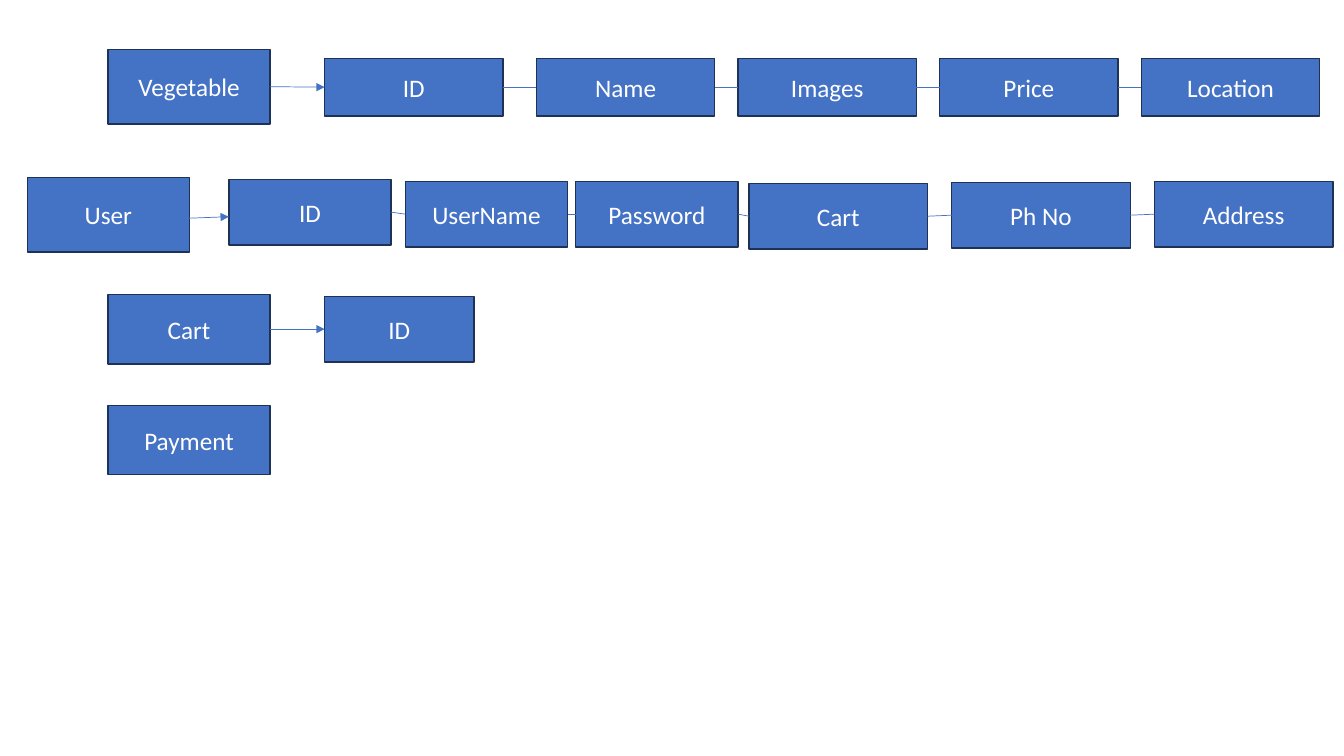
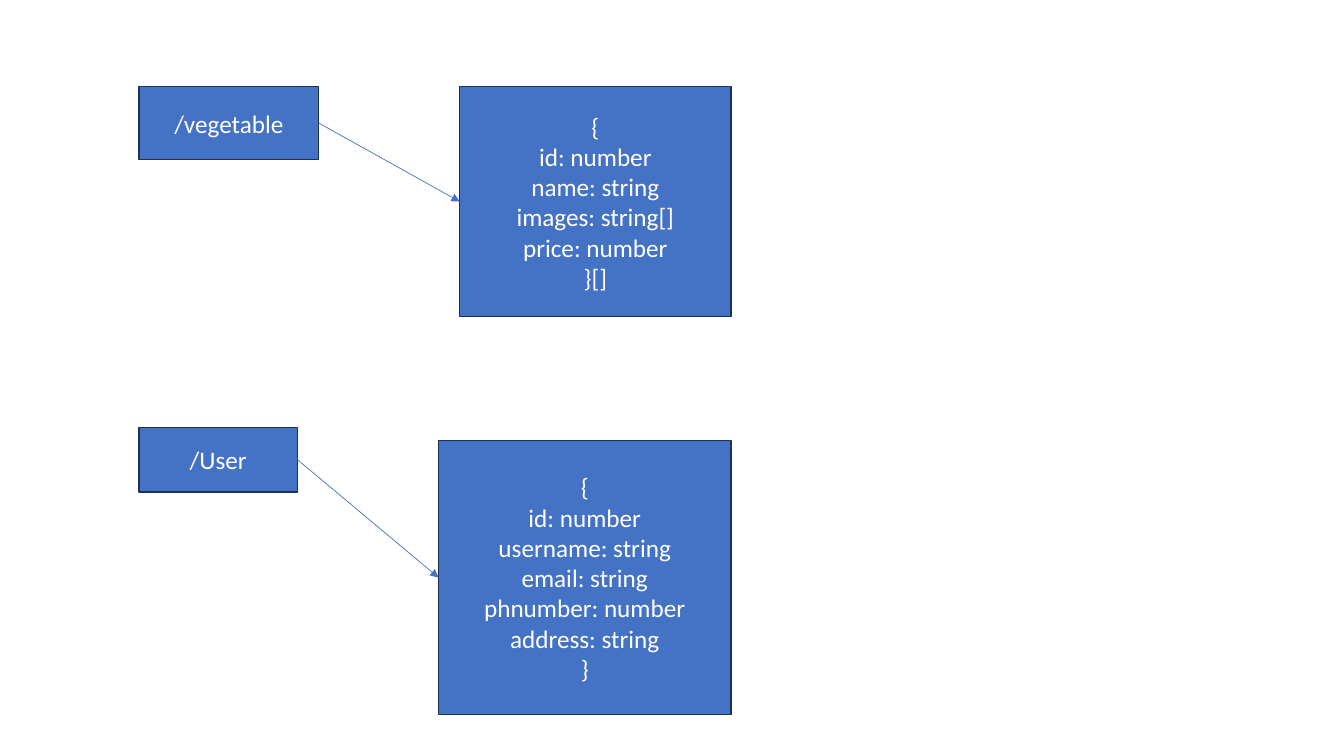
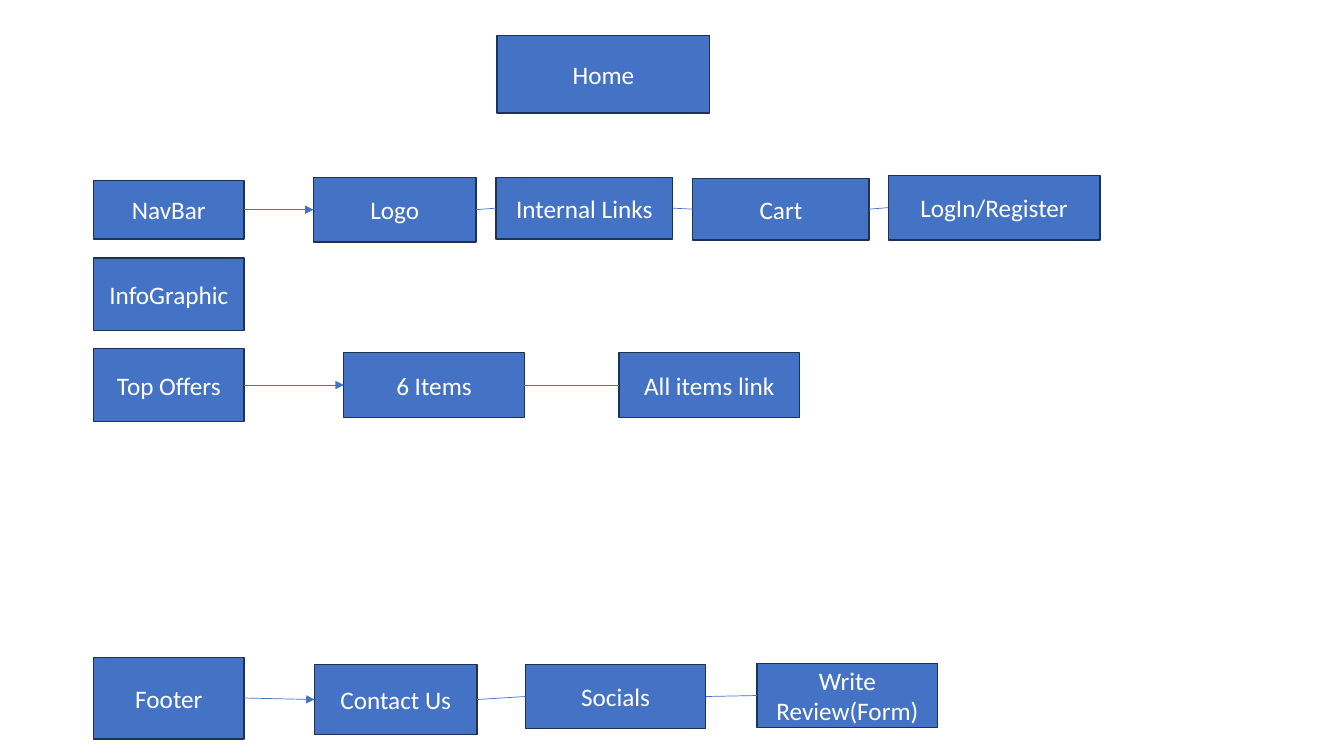
from dataclasses import dataclass

from lxml.etree import SubElement
from pptx import Presentation
from pptx.dml.color import RGBColor
from pptx.enum.shapes import MSO_CONNECTOR, MSO_SHAPE
from pptx.enum.text import MSO_ANCHOR, PP_ALIGN
from pptx.oxml.ns import qn
from pptx.shapes.autoshape import Shape
from pptx.shapes.connector import Connector
from pptx.slide import Slide
from pptx.util import Inches, Pt


@dataclass(frozen=True)
class Theme:
    fill: RGBColor = RGBColor(0x44, 0x72, 0xC4)
    outline: RGBColor = RGBColor(0x1E, 0x32, 0x56)
    text: RGBColor = RGBColor(0xFF, 0xFF, 0xFF)
    font: str = "Calibri"
    text_size: float = 18
    outline_width: float = 1
    link_width: float = 0.5


THEME = Theme()
BLANK_LAYOUT = 6
LEFT_SITE, RIGHT_SITE = 1, 3


@dataclass(frozen=True)
class Box:
    text: str
    left: float
    top: float
    width: float
    height: float


@dataclass(frozen=True)
class Chain:
    """Boxes joined left to right: an arrow first, plain links after it."""
    boxes: list[Box]
    arrow_ends: tuple[float, float, float, float] | None = None  # unglued arrow


def draw_box(slide: Slide, box: Box) -> Shape:
    shape = slide.shapes.add_shape(
        MSO_SHAPE.RECTANGLE,
        Inches(box.left), Inches(box.top), Inches(box.width), Inches(box.height))
    shape.shadow.inherit = False
    shape.fill.solid()
    shape.fill.fore_color.rgb = THEME.fill
    shape.line.color.rgb = THEME.outline
    shape.line.width = Pt(THEME.outline_width)

    frame = shape.text_frame
    frame.word_wrap = True
    frame.vertical_anchor = MSO_ANCHOR.MIDDLE
    for index, line in enumerate(box.text.split("\n")):
        paragraph = frame.add_paragraph() if index else frame.paragraphs[0]
        paragraph.alignment = PP_ALIGN.CENTER
        run = paragraph.add_run()
        run.text = line
        run.font.name = THEME.font
        run.font.size = Pt(THEME.text_size)
        run.font.color.rgb = THEME.text
    return shape


def style_link(link: Connector, arrow: bool) -> None:
    link.line.color.rgb = THEME.fill
    link.line.width = Pt(THEME.link_width)
    if arrow:
        SubElement(link.line._get_or_add_ln(), qn("a:tailEnd"), type="triangle")
    SubElement(link._element.spPr, qn("a:effectLst"))


def draw_chain(slide: Slide, chain: Chain) -> None:
    shapes = [draw_box(slide, box) for box in chain.boxes]
    for index, (source, target) in enumerate(zip(shapes, shapes[1:])):
        is_arrow = index == 0
        ends = chain.arrow_ends if is_arrow else None
        link = slide.shapes.add_connector(
            MSO_CONNECTOR.STRAIGHT, *(Inches(end) for end in ends or (0, 0, 0, 0)))
        if ends is None:
            link.begin_connect(source, RIGHT_SITE)
            link.end_connect(target, LEFT_SITE)
        style_link(link, is_arrow)


# Data model: each entity and its fields
VEGETABLE_FIELDS = [
    Box(field, 5.32 + 2 * column, 0.58, 1.77, 0.57)
    for column, field in enumerate(["Name", "Images", "Price", "Location"])]

DATA_MODEL = [
    Chain([Box("Vegetable", 1.07, 0.49, 1.61, 0.74),
           Box("ID", 3.22, 0.58, 1.77, 0.57), *VEGETABLE_FIELDS]),
    Chain([Box("User", 0.27, 1.76, 1.61, 0.74),
           Box("ID", 2.27, 1.78, 1.61, 0.65),
           Box("UserName", 4.02, 1.8, 1.61, 0.65),
           Box("Password", 5.71, 1.8, 1.61, 0.65),
           Box("Cart", 7.43, 1.82, 1.77, 0.65),
           Box("Ph No", 9.44, 1.81, 1.77, 0.65),
           Box("Address", 11.45, 1.8, 1.77, 0.65)],
          arrow_ends=(1.74, 2.17, 2.27, 2.15)),
    Chain([Box("Cart", 1.07, 2.92, 1.61, 0.69),
           Box("ID", 3.22, 2.94, 1.48, 0.65)]),
    Chain([Box("Payment", 1.07, 4.02, 1.61, 0.69)]),
]

# Endpoints: each route and its response
VEGETABLE_RESPONSE = """{
id: number
name: string
images: string[]
price: number
}[]"""

USER_RESPONSE = """{
id: number
username: string
email: string
phnumber: number
address: string
}"""

ENDPOINTS = [
    Chain([Box("/vegetable", 1.38, 0.86, 1.78, 0.72),
           Box(VEGETABLE_RESPONSE, 4.56, 0.86, 2.69, 2.28)]),
    Chain([Box("/User", 1.38, 4.24, 1.57, 0.64),
           Box(USER_RESPONSE, 4.35, 4.37, 2.9, 2.72)]),
]

# Home page: each section and its parts
HOME_PAGE = [
    Chain([Box("Home", 4.93, 0.35, 2.11, 0.77)]),
    Chain([Box("NavBar", 0.93, 1.79, 1.49, 0.58),
           Box("Logo", 3.11, 1.76, 1.61, 0.64),
           Box("Internal Links", 4.92, 1.76, 1.75, 0.61),
           Box("Cart", 6.87, 1.77, 1.75, 0.61),
           Box("LogIn/Register", 8.81, 1.74, 2.1, 0.64)]),
    Chain([Box("InfoGraphic", 0.93, 2.56, 1.49, 0.72)]),
    Chain([Box("Top Offers", 0.93, 3.46, 1.49, 0.72),
           Box("6 Items", 3.41, 3.5, 1.79, 0.64),
           Box("All items link", 6.14, 3.5, 1.79, 0.64)]),
    Chain([Box("Footer", 0.93, 6.52, 1.49, 0.81),
           Box("Contact Us", 3.12, 6.59, 1.61, 0.7),
           Box("Socials", 5.21, 6.59, 1.79, 0.64),
           Box("Write Review(Form)", 7.51, 6.58, 1.79, 0.64)]),
]


def main() -> None:
    presentation = Presentation()
    presentation.slide_width = Inches(13.33)
    presentation.slide_height = Inches(7.5)
    for chains in (DATA_MODEL, ENDPOINTS, HOME_PAGE):
        slide = presentation.slides.add_slide(
            presentation.slide_layouts[BLANK_LAYOUT])
        for chain in chains:
            draw_chain(slide, chain)
    presentation.save("out.pptx")


if __name__ == "__main__":
    main()
